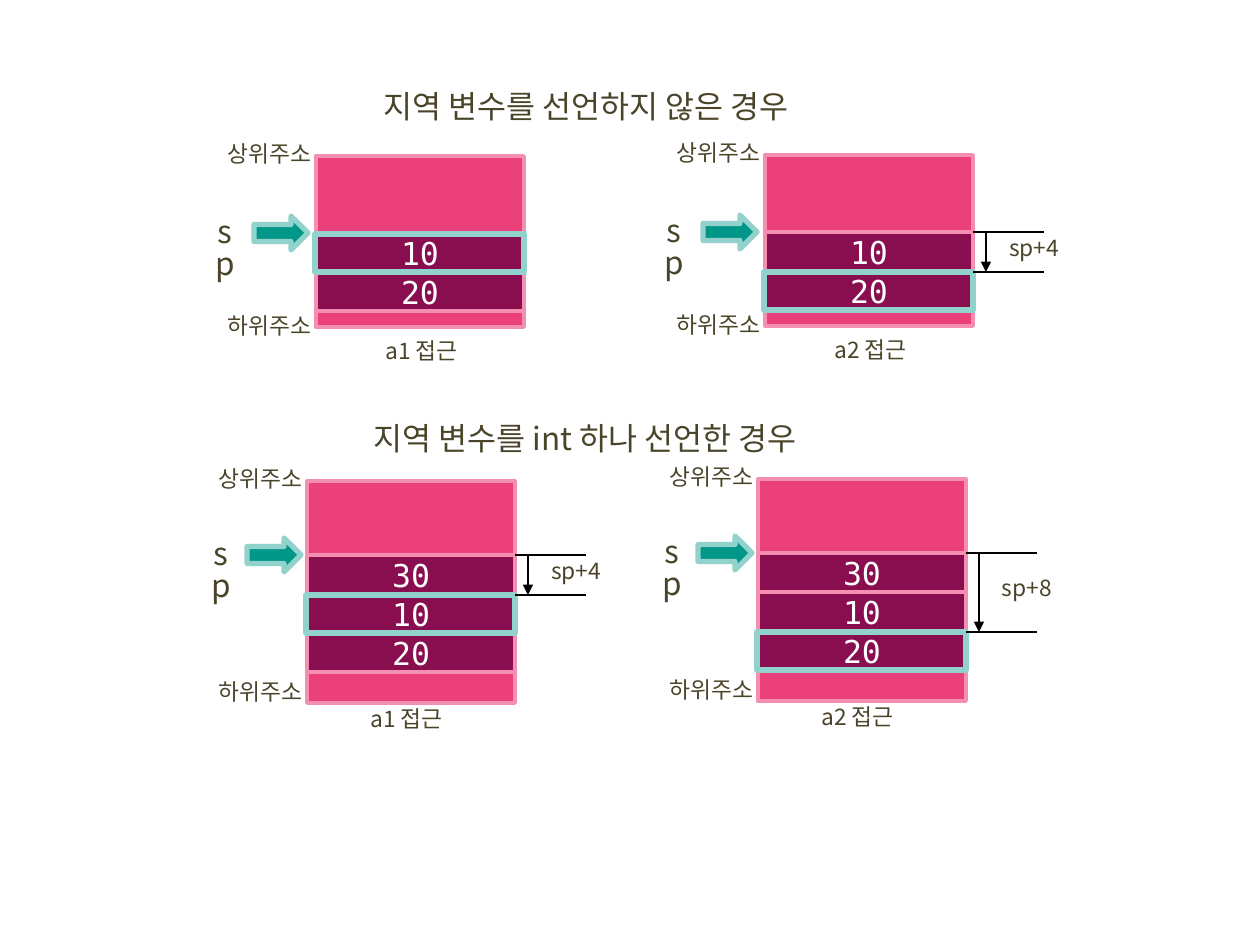
from lxml.etree import SubElement
from pptx import Presentation
from pptx.dml.color import RGBColor
from pptx.enum.shapes import MSO_CONNECTOR as CONN, MSO_SHAPE as SHAPE
from pptx.enum.text import MSO_ANCHOR as ANCHOR, MSO_AUTO_SIZE as AUTO, PP_ALIGN as ALIGN
from pptx.oxml.ns import qn
from pptx.util import Emu, Pt

PX = 914400 // 126
SANS, MONO = "Noto Sans CJK KR", "DejaVu Sans Mono"
INK, WHITE, BLACK = "4A452A", "FFFFFF", "000000"
PINK, ROSE, PLUM = "EC407A", "F48FB1", "880E4F"
TEAL, MINT = "009688", "92D2CC"
WIDTH, ROW = 208, 39

# Each case: heading and its box, memory layout, and panels of
# (left, top, caption, highlighted row, offset label)
CASES = [
    dict(heading="지역 변수를 선언하지 않은 경우", box=(344, 86, 484, 50),
         values=["10", "20"], height=171, stack=77, arrow=-62, sp=-120,
         low=-17, caption=(53, 8),
         panels=[(316, 156, "a1 접근", 0, None),
                 (765, 155, "a2 접근", 1, "sp+4")]),
    dict(heading="지역 변수를 int 하나 선언한 경우", box=(335, 418, 500, 50),
         values=["30", "10", "20"], height=222, stack=74, arrow=-60, sp=-115,
         low=-27, caption=(47, 0),
         panels=[(307, 481, "a1 접근", 1, "sp+4"),
                 (758, 479, "a2 접근", 2, "sp+8")]),
]

prs = Presentation()
prs.slide_width, prs.slide_height = Emu(1260 * PX), Emu(945 * PX)
s = prs.slides.add_slide(prs.slide_layouts[5])


def px(*lengths):
    return [Emu(n * PX) for n in lengths]


def color(hex_string):
    return RGBColor.from_string(hex_string)


def write(sp, text, size, font=SANS, ink=INK, anchor=ANCHOR.TOP, wrap=False):
    tf = sp.text_frame
    tf.auto_size, tf.word_wrap, tf.vertical_anchor = AUTO.NONE, wrap, anchor
    p = tf.paragraphs[0]
    p.alignment = ALIGN.CENTER
    if font == SANS:
        p.line_spacing = 0.86
    r = p.add_run()
    r.text = text
    r.font.size, r.font.name = Pt(size), font
    r.font.color.rgb = color(ink)
    SubElement(r.font._element, qn("a:ea")).set("typeface", font)


def label(box, text, size=13, wrap=False):
    write(s.shapes.add_textbox(*px(*box)), text, size, wrap=wrap)


def block(box, fill, line, weight=2.25, kind=SHAPE.RECTANGLE):
    sp = s.shapes.add_shape(kind, *px(*box))
    sp.shadow.inherit = False
    if fill:
        sp.fill.solid()
        sp.fill.fore_color.rgb = color(fill)
    else:
        sp.fill.background()
    sp.line.color.rgb, sp.line.width = color(line), Pt(weight)
    return sp


def rule(x1, y1, x2, y2, head=False):
    line = s.shapes.add_connector(CONN.STRAIGHT, *px(x1, y1, x2, y2))
    line.line.color.rgb, line.line.width = color(BLACK), Pt(1)
    if head:
        SubElement(line.line._get_or_add_ln(), qn("a:tailEnd")).set("type", "triangle")
    SubElement(line._element.spPr, qn("a:effectLst"))


def draw_panel(case, left, top, caption, marked, offset):
    bottom, stack = top + case["height"], top + case["stack"]
    # Memory block and its rows
    block((left, top, WIDTH, case["height"]), PINK, ROSE)
    for i, value in reversed(list(enumerate(case["values"]))):
        row = block((left, stack + i * ROW, WIDTH, ROW), PLUM, ROSE)
        write(row, value, 18, MONO, WHITE, ANCHOR.MIDDLE)
    block((left - 1, stack + marked * ROW + 1, WIDTH + 1, ROW - 1), None, MINT, 3)

    # Address labels, stack pointer and caption
    label((left - 105, top - 18, 117, 40), "상위주소")
    label((left - 105, bottom + case["low"], 117, 40), "하위주소")
    block((left + case["arrow"], stack - 17, 54, 34), TEAL, MINT, 3, SHAPE.RIGHT_ARROW)
    label((left + case["sp"], stack - 22, 58, 50), "sp", 18, wrap=True)
    dx, dy = case["caption"]
    label((left + dx, bottom + dy, 105, 40), caption)

    # Offset from the stack pointer
    if offset:
        right, end = left + WIDTH, stack + marked * ROW + 1
        for y in (stack, end):
            rule(right, y, right + 71, y)
        rule(right + 13, stack, right + 13, end, head=True)
        label((right + 22, (stack + end) // 2 - 20, 78, 40), offset)


for case in CASES:
    for panel in case["panels"]:
        draw_panel(case, *panel)

# The first heading is the slide title
title = s.shapes.title
title.left, title.top, title.width, title.height = px(*CASES[0]["box"])
write(title, CASES[0]["heading"], 18)
label(CASES[1]["box"], CASES[1]["heading"], 18)

prs.save("out.pptx")
